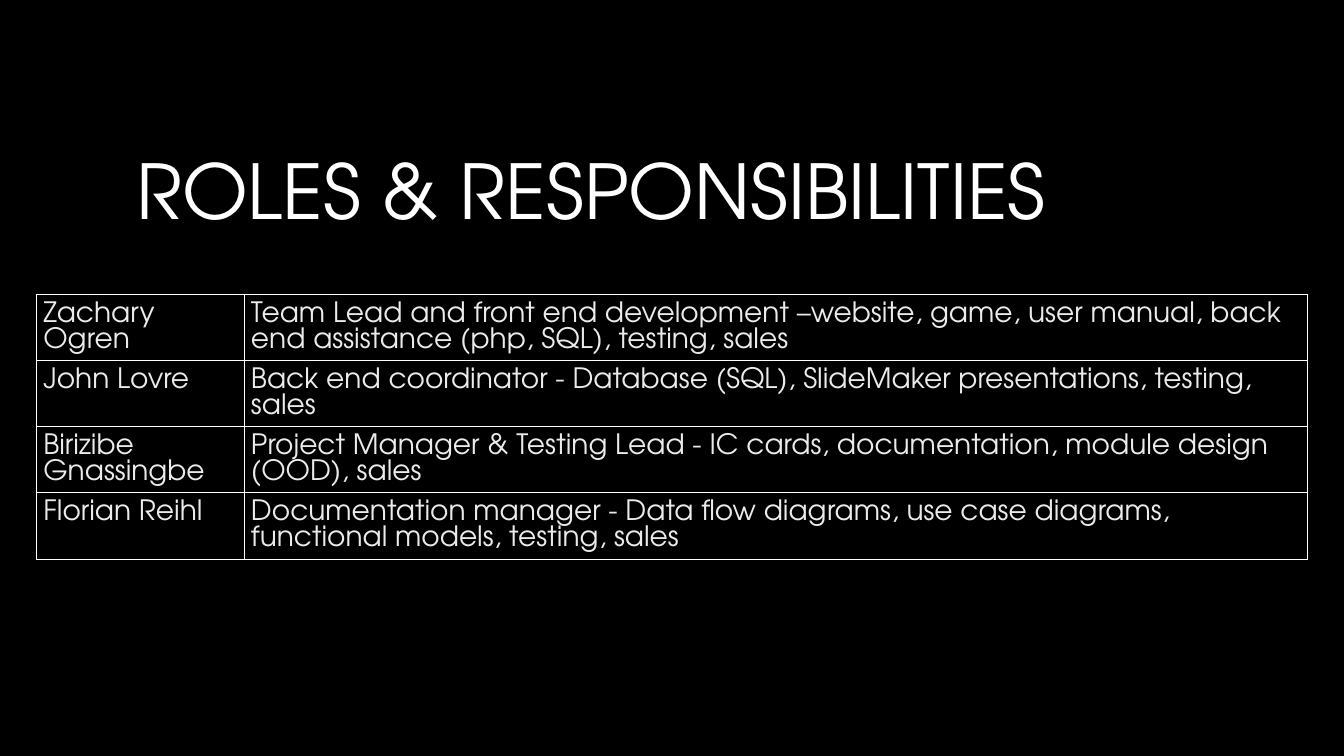
"""Build the roles and responsibilities slide."""
from dataclasses import dataclass

from lxml import etree
from pptx import Presentation
from pptx import util as u
from pptx.dml import color
from pptx.enum import text
from pptx.oxml import ns


@dataclass(frozen=True)
class Theme:
    font: str = "TeX Gyre Adventor"
    background: str = "000000"
    heading: str = "FFFFFF"
    body: str = "EBEBEB"
    border: str = "FFFFFF"
    border_width: float = 0.75
    heading_size: float = 54
    body_size: float = 20


@dataclass(frozen=True)
class Member:
    name: str
    duties: str


THEME = Theme()
COLUMN_WIDTHS = (2.06, 10.55)
ROW_HEIGHT = 0.65
CELL_MARGIN = 0.07
TEAM = (
    Member("Zachary Ogren", "Team Lead and front end development –website, game, "
           "user manual, back end assistance (php, SQL), testing, sales"),
    Member("John Lovre", "Back end coordinator - Database (SQL), SlideMaker "
           "presentations, testing, sales"),
    Member("Birizibe Gnassingbe", "Project Manager & Testing Lead - IC cards, "
           "documentation, module design (OOD), sales"),
    Member("Florian Reihl", "Documentation manager - Data flow diagrams, use case "
           "diagrams, functional models, testing, sales"),
)


def write(frame, content: str, *, size: float, fill: str,
          anchor=text.MSO_ANCHOR.TOP, spacing=None) -> None:
    """Put one formatted, left-aligned paragraph in a text frame."""
    frame.word_wrap = True
    frame.vertical_anchor = anchor
    paragraph = frame.paragraphs[0]
    paragraph.alignment = text.PP_ALIGN.LEFT
    paragraph.line_spacing = spacing
    run = paragraph.add_run()
    run.text = content
    run.font.name = THEME.font
    run.font.size = u.Pt(size)
    run.font.color.rgb = color.RGBColor.from_string(fill)


def outline(cell) -> None:
    """Draw the four borders of a table cell."""
    properties = cell._tc.get_or_add_tcPr()
    for position, side in enumerate(("lnL", "lnR", "lnT", "lnB")):
        line = etree.Element(ns.qn(f"a:{side}"), w=str(u.Pt(THEME.border_width)))
        solid = etree.SubElement(line, ns.qn("a:solidFill"))
        etree.SubElement(solid, ns.qn("a:srgbClr"), val=THEME.border)
        properties.insert(position, line)


def add_heading(slide) -> None:
    """Place and fill the title."""
    heading = slide.shapes.title
    heading.left, heading.top = u.Inches(1.25), u.Inches(0.84)
    heading.width, heading.height = u.Inches(10.83), u.Inches(2.08)
    write(heading.text_frame, "ROLES & RESPONSIBILITIES", size=THEME.heading_size,
          fill=THEME.heading, anchor=text.MSO_ANCHOR.MIDDLE)


def add_roles(slide) -> None:
    """Add the table of members and their duties."""
    roles = slide.shapes.add_table(
        len(TEAM), len(COLUMN_WIDTHS), u.Inches(0.36), u.Inches(2.92),
        u.Inches(sum(COLUMN_WIDTHS)), u.Inches(ROW_HEIGHT * len(TEAM))).table
    roles.first_row = roles.horz_banding = False
    for column, width in zip(roles.columns, COLUMN_WIDTHS):
        column.width = u.Inches(width)
    for row, member in zip(roles.rows, TEAM):
        for cell, content in zip(row.cells, (member.name, member.duties)):
            cell.margin_left = cell.margin_right = u.Inches(CELL_MARGIN)
            cell.margin_top = cell.margin_bottom = u.Inches(CELL_MARGIN)
            cell.fill.background()
            outline(cell)
            write(cell.text_frame, content, size=THEME.body_size, fill=THEME.body,
                  spacing=u.Pt(18.6))


def main() -> None:
    """Create and save the presentation."""
    deck = Presentation()
    deck.slide_width, deck.slide_height = u.Inches(13.33), u.Inches(7.5)
    slide = deck.slides.add_slide(deck.slide_layouts.get_by_name("Title Only"))
    slide.background.fill.solid()
    slide.background.fill.fore_color.rgb = color.RGBColor.from_string(THEME.background)
    add_heading(slide)
    add_roles(slide)
    deck.save("out.pptx")


if __name__ == "__main__":
    main()
